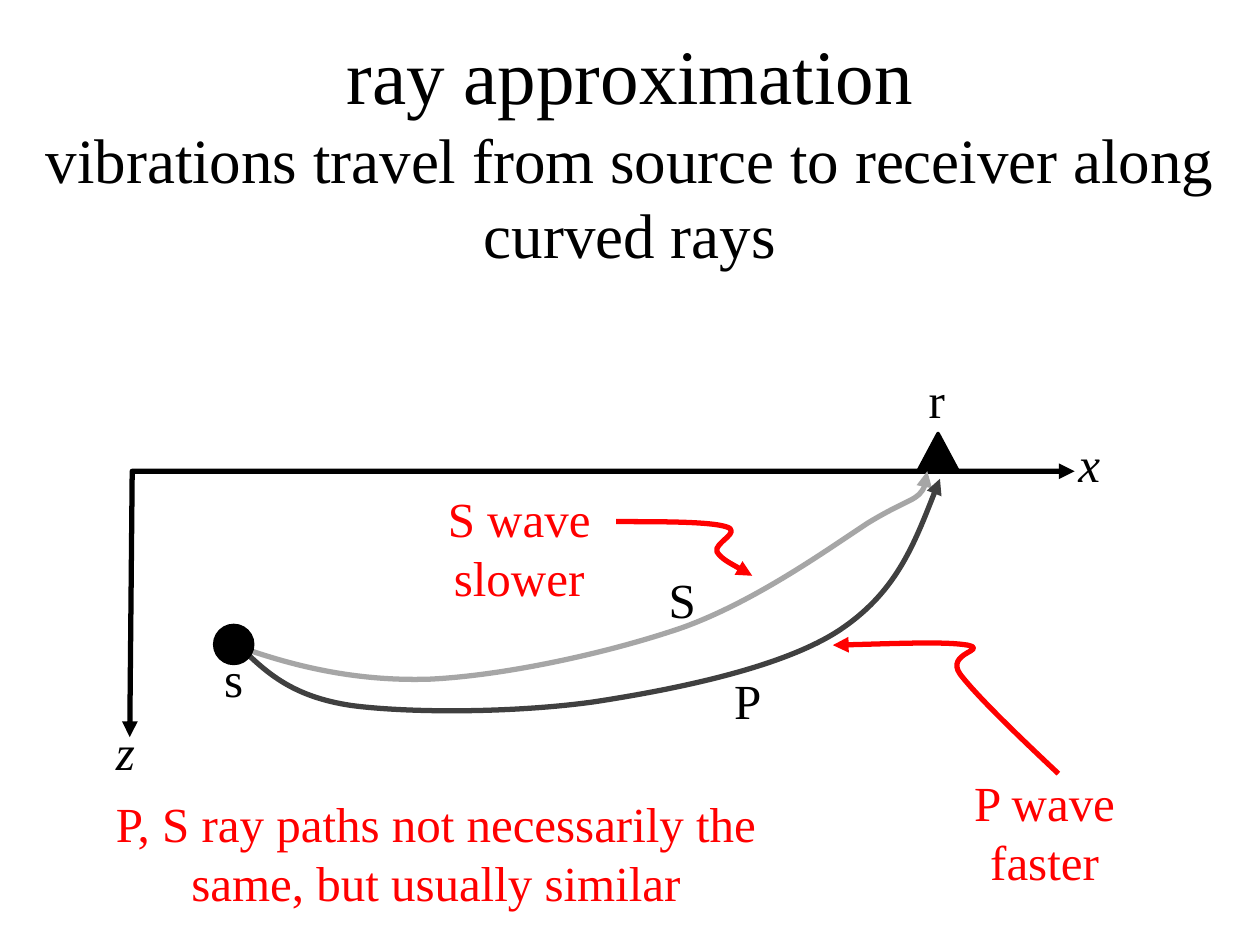
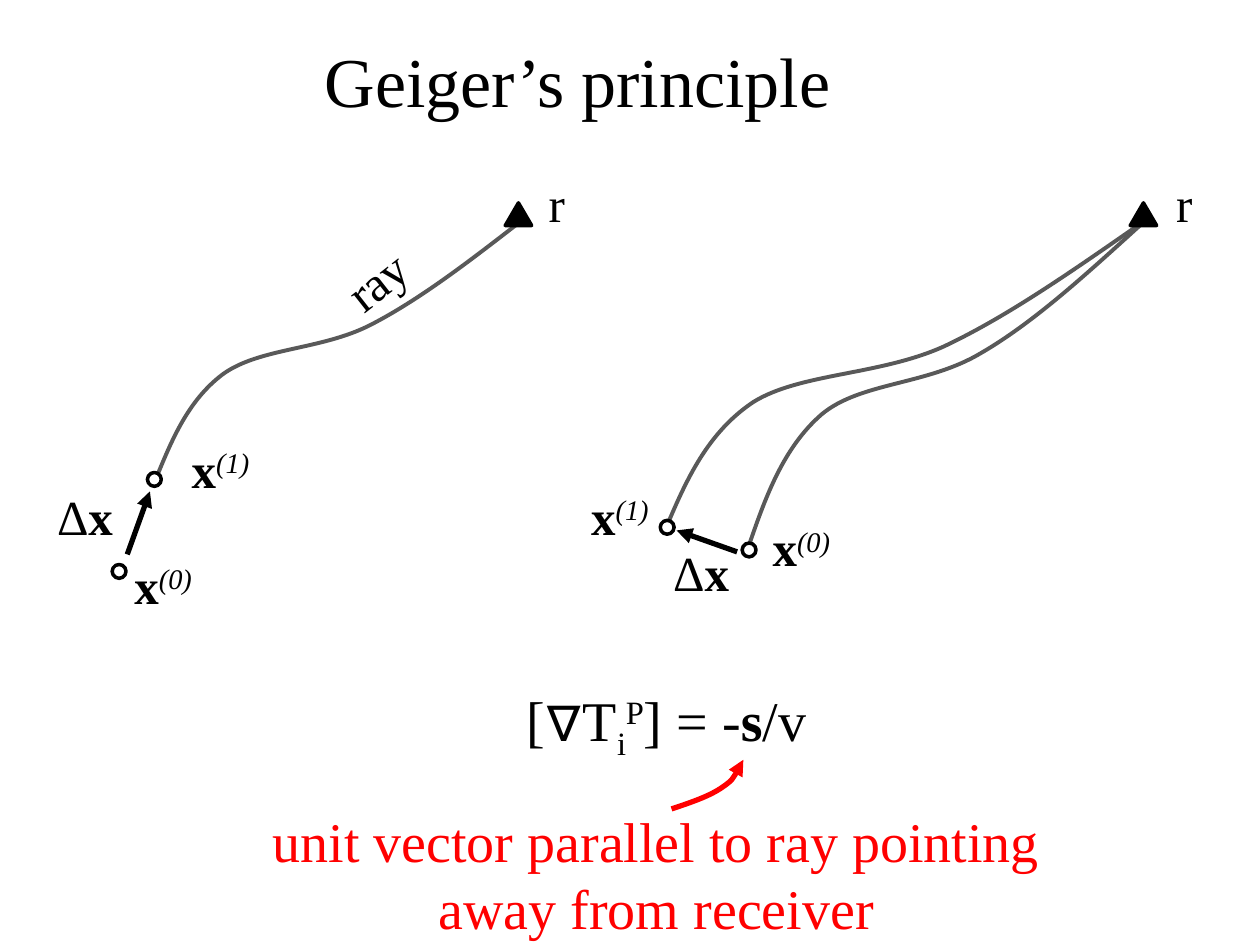
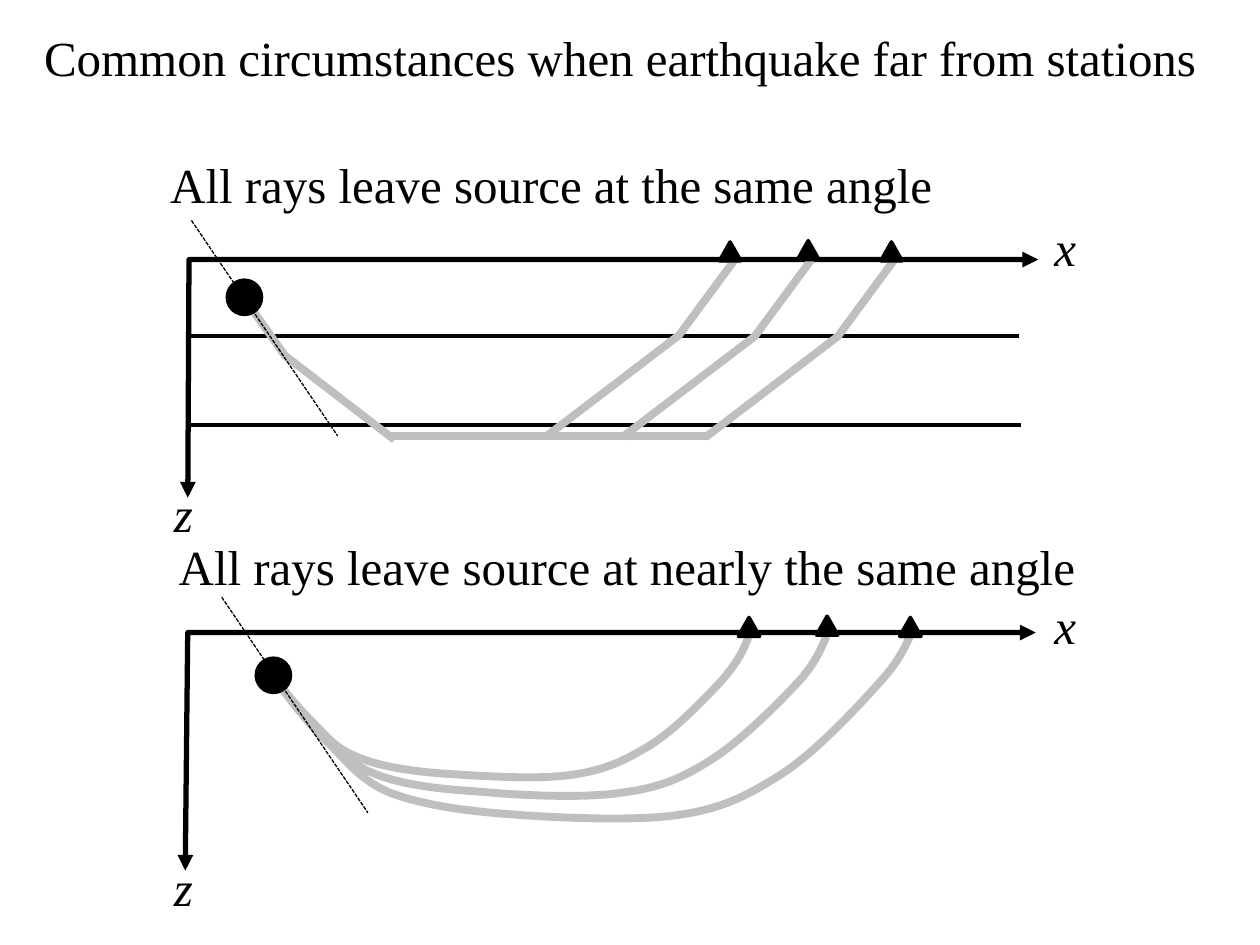
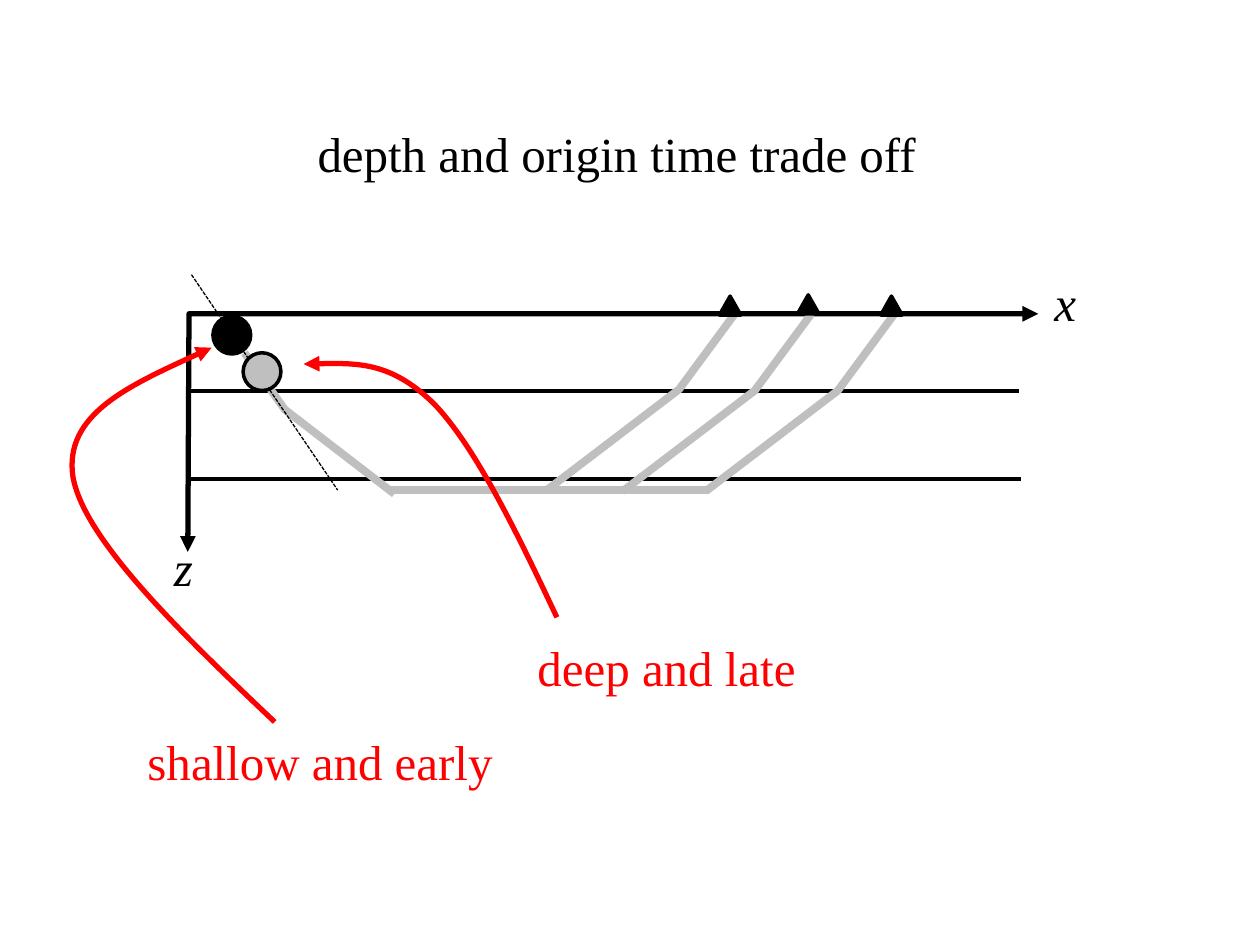
from dataclasses import dataclass
from typing import NamedTuple, Optional

from lxml import etree
from pptx import Presentation
from pptx import util as u
from pptx.dml.color import RGBColor
from pptx.enum import dml, shapes, text
from pptx.oxml import ns

PX = 9144  # EMU in one px, at 100 px to the inch
FONT = "Times New Roman"
BLACK, WHITE, RED = "000000", "FFFFFF", "FF0000"
SILVER, GREY, SLATE, CHARCOAL = "BFBFBF", "A6A6A6", "595959", "404040"
CENTER, LEFT = text.PP_ALIGN.CENTER, text.PP_ALIGN.LEFT
TOP, MIDDLE = text.MSO_ANCHOR.TOP, text.MSO_ANCHOR.MIDDLE
TRIANGLE = shapes.MSO_SHAPE.ISOSCELES_TRIANGLE
CIRCLE = shapes.MSO_SHAPE.OVAL
LINE_HEIGHT = 57
TITLE_ONLY = 5

Point = tuple[int, int]


class Span(NamedTuple):
    text: str
    bold: bool = False
    italic: bool = False
    baseline: int = 0  # percent: above zero raises, below zero lowers


class Para(NamedTuple):
    spans: tuple[Span, ...]
    size: int = 28
    color: str = BLACK
    align: text.PP_ALIGN = CENTER


@dataclass(frozen=True)
class Stroke:
    color: str
    width: float
    ends: tuple[str, ...] = ()
    dash: Optional[dml.MSO_LINE] = None


ARROW = ("tailEnd",)
AXIS = Stroke(BLACK, 3, ("headEnd", "tailEnd"))
STEP = Stroke(BLACK, 3, ARROW)
POINTER = Stroke(RED, 3, ARROW)
BOUNDARY = Stroke(BLACK, 2.25)
RAY = Stroke(SILVER, 4.5)
THIN_RAY = Stroke(SLATE, 2.25)
TAKEOFF = Stroke(BLACK, 0.75, dash=dml.MSO_LINE.SQUARE_DOT)
OUTLINE = Stroke(BLACK, 2)


def emu(*lengths: int) -> list[u.Emu]:
    return [u.Emu(length * PX) for length in lengths]


def rgb(color: str) -> RGBColor:
    return RGBColor.from_string(color)


def plain(words: str, size: int = 28, color: str = BLACK, align=CENTER) -> Para:
    return Para((Span(words),), size, color, align)


def variable(name: str) -> Para:
    return Para((Span(name, italic=True),))


def iterate(step: int) -> Para:
    """The position vector x with its iteration number raised."""
    return Para((Span("x", bold=True), Span(f"({step})", italic=True, baseline=30)))


def apply_stroke(line, stroke: Stroke) -> None:
    line.color.rgb = rgb(stroke.color)
    line.width = u.Pt(stroke.width)
    if stroke.dash is not None:
        line.dash_style = stroke.dash
    for end in stroke.ends:
        etree.SubElement(line._get_or_add_ln(), ns.qn(f"a:{end}"), type="triangle")


def write(shape, paras: tuple[Para, ...], anchor=TOP) -> None:
    frame = shape.text_frame
    frame.word_wrap = True
    frame.vertical_anchor = anchor
    frame.auto_size = (text.MSO_AUTO_SIZE.SHAPE_TO_FIT_TEXT if anchor == TOP
                       else text.MSO_AUTO_SIZE.NONE)
    for index, para in enumerate(paras):
        paragraph = frame.add_paragraph() if index else frame.paragraphs[0]
        paragraph.alignment = para.align
        font = paragraph.font
        font.name, font.size = FONT, u.Pt(para.size)
        font.color.rgb = rgb(para.color)
        for span in para.spans:
            run = paragraph.add_run()
            run.text = span.text
            if span.bold:
                run.font.bold = True
            if span.italic:
                run.font.italic = True
            if span.baseline:
                run._r.get_or_add_rPr().set("baseline", str(span.baseline * 1000))


def add_label(page, left: int, top: int, width: int, *paras: Para,
              height: int = LINE_HEIGHT, anchor=TOP, rotation: float = 0) -> None:
    box = page.shapes.add_textbox(*emu(left, top, width, height))
    box.rotation = rotation
    write(box, paras, anchor)


def add_page(deck, left: int, top: int, width: int, *paras: Para,
             height: int = LINE_HEIGHT):
    """Add a slide and set its title in the given place."""
    page = deck.slides.add_slide(deck.slide_layouts[TITLE_ONLY])
    title = page.shapes.title
    title.left, title.top, title.width, title.height = emu(left, top, width, height)
    write(title, paras)
    return page


def add_line(page, start: Point, end: Point, stroke: Stroke) -> None:
    line = page.shapes.add_connector(shapes.MSO_CONNECTOR.STRAIGHT, *emu(*start, *end))
    apply_stroke(line.line, stroke)
    etree.SubElement(line._element.spPr, ns.qn("a:effectLst"))


def add_path(page, points: list[Point], stroke: Stroke):
    builder = page.shapes.build_freeform(*points[0], scale=PX)
    builder.add_line_segments(points[1:], close=False)
    path = builder.convert_to_shape()
    path.shadow.inherit = False
    path.fill.background()
    apply_stroke(path.line, stroke)
    return path


def add_curve(page, points: list[Point], stroke: Stroke) -> None:
    """Join a start point and triples of Bezier points into one curve."""
    curve = add_path(page, points, stroke)
    segments = list(curve._element.iter(ns.qn("a:lnTo")))
    for first in range(0, len(segments), 3):
        bezier = etree.Element(ns.qn("a:cubicBezTo"))
        segments[first].addprevious(bezier)
        for segment in segments[first:first + 3]:
            bezier.append(segment[0])
            segment.getparent().remove(segment)


def add_mark(page, kind, left: int, top: int, width: int, height: int,
             fill: str = BLACK, outline: Optional[Stroke] = OUTLINE) -> None:
    mark = page.shapes.add_shape(kind, *emu(left, top, width, height))
    mark.shadow.inherit = False
    mark.fill.solid()
    mark.fill.fore_color.rgb = rgb(fill)
    if outline:
        apply_stroke(mark.line, outline)
    else:
        mark.line.fill.background()


def add_stations(page, left: int, top: int) -> None:
    for across, down in ((0, 1), (62, 0), (128, 1)):
        add_mark(page, TRIANGLE, left + across, top + down, 17, 15)


def add_takeoff(page, left: int, top: int) -> None:
    """Dashed line along which the rays leave the source."""
    add_line(page, (left, top), (left + 116, top + 171), TAKEOFF)


def add_layers(page, top: int) -> None:
    """Layered earth, its surface at top, with head waves to three stations."""
    add_path(page, [(149, top + 189), (150, top), (824, top)], AXIS)
    for left, depth in ((150, 131), (149, 61)):
        add_line(page, (left, top + depth), (left + 660, top + depth), BOUNDARY)
    add_path(page, [(313, top + 143), (226, top + 76), (194, top + 31)], RAY)
    add_line(page, (308, top + 140), (563, top + 140), RAY)
    for left, depth in ((560, 141), (494, 141), (434, 140)):
        foot = top + depth
        add_path(page, [(left, foot), (left + 105, foot - 80), (left + 150, foot - 141)], RAY)
    add_stations(page, 571, top - 15)
    add_takeoff(page, 152, top - 31)
    add_label(page, 108, top + 173, 75, variable("z"))
    add_label(page, 808, top - 38, 75, variable("x"))


def build_ray_approximation(deck) -> None:
    page = add_page(
        deck, 0, 17, 1000, plain("ray approximation", 44),
        plain("vibrations travel from source to receiver along curved rays", 36),
        height=205)
    add_path(page, [(103, 585), (105, 374), (853, 374)], AXIS)
    add_mark(page, TRIANGLE, 729, 344, 31, 29)
    add_curve(page, [(186, 512), (233, 529), (283, 541), (342, 539),
                     (402, 536), (484, 518), (542, 498), (600, 477), (657, 436),
                     (689, 415), (722, 395), (735, 398), (736, 374)],
              Stroke(GREY, 3, ARROW))
    add_curve(page, [(192, 515), (212, 534), (232, 553), (279, 560),
                     (325, 566), (408, 566), (472, 557), (537, 547), (620, 530),
                     (665, 501), (711, 471), (728, 426), (746, 380)],
              Stroke(CHARCOAL, 3, ARROW))
    add_mark(page, CIRCLE, 169, 495, 33, 33, outline=None)
    for left, top, para in ((58, 568, variable("z")), (823, 339, variable("x")),
                            (552, 527, plain("P")), (500, 447, plain("S")),
                            (144, 510, plain("s")), (702, 288, plain("r"))):
        add_label(page, left, top, 83, para)
    add_curve(page, [(840, 614), (807, 583), (775, 552), (762, 535), (750, 518),
                     (785, 516), (768, 512), (751, 509), (706, 511), (661, 512)], POINTER)
    add_curve(page, [(489, 414), (526, 414), (563, 414), (576, 418), (590, 422),
                     (566, 431), (569, 438), (573, 444), (585, 450), (597, 457)], POINTER)
    for left, top, wave, speed in ((675, 608, "P", "faster"), (258, 383, "S", "slower")):
        add_label(page, left, top, 308, plain(f"{wave} wave", color=RED),
                  plain(speed, color=RED), height=104)
    add_label(page, 50, 625, 592, plain(
        "P, S ray paths not necessarily the same, but usually similar", color=RED), height=104)


def build_geiger(deck) -> None:
    page = add_page(deck, 225, 25, 467, plain("Geiger’s principle", 40), height=77)
    for ray in (
        [(123, 382), (136, 350), (149, 318), (177, 297), (206, 276),
         (255, 278), (294, 258), (333, 238), (373, 207), (413, 176)],
        [(593, 437), (607, 396), (621, 356), (652, 329), (683, 303),
         (736, 306), (779, 280), (822, 255), (865, 215), (908, 176)],
        [(529, 418), (545, 380), (562, 343), (598, 319), (635, 296),
         (698, 298), (749, 275), (800, 251), (851, 215), (903, 179)],
    ):
        add_curve(page, ray, THIN_RAY)
    add_line(page, (101, 440), (119, 390), STEP)
    add_line(page, (585, 438), (537, 421), STEP)
    for left in (401, 897):
        add_mark(page, TRIANGLE, left, 161, 21, 18)
    for left, top in ((524, 413), (589, 431), (117, 375), (89, 448)):
        add_mark(page, CIRCLE, left, top, 11, 11, WHITE)
    for left, top, width, step in ((78, 436, 103, 0), (115, 344, 120, 1),
                                   (437, 381, 110, 1), (581, 406, 110, 0)):
        add_label(page, left, top, width, iterate(step))
    for left in (382, 880):
        add_label(page, left, 133, 120, plain("r"))
    for left, top in ((16, 381), (505, 426)):
        add_label(page, left, top, 103, Para((Span("Δ"), Span("x", bold=True))))
    add_label(page, 239, 194, 120, plain("ray"), rotation=321.9)
    gradient = Para((Span("[∇T"), Span("i", baseline=-25), Span("P", baseline=30),
                     Span("] = -"), Span("s", bold=True), Span("/v")), 32)
    add_label(page, 183, 508, 692, gradient, height=133, anchor=MIDDLE)
    add_curve(page, [(533, 642), (548, 637), (563, 632), (573, 625),
                     (582, 619), (586, 611), (590, 603)], POINTER)
    add_label(page, 167, 658, 708, plain(
        "unit vector parallel to ray pointing away from receiver", 32, RED),
        height=71, anchor=MIDDLE)


def build_far_earthquake(deck) -> None:
    page = add_page(deck, 25, 17, 975, plain(
        "Common circumstances when earthquake far from stations", align=LEFT))
    add_layers(page, 206)
    add_path(page, [(147, 691), (149, 502), (822, 502)], AXIS)
    for ray in (
        [(212, 531), (228, 552), (243, 573), (260, 589), (276, 605), (286, 619),
         (309, 629), (333, 638), (363, 643), (401, 646), (439, 649), (501, 652),
         (537, 647), (574, 642), (594, 631), (621, 614), (647, 597), (679, 563),
         (696, 544), (714, 525), (719, 512), (725, 499)],
        [(213, 532), (226, 549), (240, 567), (254, 581), (268, 594), (277, 606),
         (297, 614), (317, 622), (344, 626), (377, 628), (409, 631), (462, 634),
         (494, 629), (526, 625), (544, 616), (566, 602), (589, 587), (617, 559),
         (632, 543), (647, 527), (651, 516), (656, 505)],
        [(211, 530), (223, 545), (235, 560), (247, 572), (259, 584), (266, 594),
         (284, 601), (301, 608), (324, 612), (352, 614), (381, 616), (427, 619),
         (454, 615), (482, 611), (497, 603), (517, 591), (537, 578), (560, 554),
         (573, 540), (586, 525), (590, 516), (594, 506)],
    ):
        add_curve(page, ray, RAY)
    add_stations(page, 586, 489)
    add_takeoff(page, 176, 474)
    add_label(page, 108, 676, 75, variable("z"))
    add_label(page, 808, 468, 75, variable("x"))
    add_label(page, 125, 118, 625, plain("All rays leave source at the same angle"))
    add_label(page, 132, 421, 826, plain(
        "All rays leave source at nearly the same angle", align=LEFT))
    for left, top in ((202, 521), (179, 221)):
        add_mark(page, CIRCLE, left, top, 30, 30, outline=None)


def build_trade_off(deck) -> None:
    page = add_page(deck, 242, 93, 500, plain("depth and origin time trade off", align=LEFT))
    add_layers(page, 249)
    add_mark(page, CIRCLE, 169, 251, 30, 30)
    add_mark(page, CIRCLE, 193, 280, 30, 30, SILVER)
    add_curve(page, [(218, 573), (142, 501), (67, 428), (58, 379),
                     (50, 329), (109, 303), (168, 276)], POINTER)
    add_label(page, 58, 576, 392, plain("shallow and early", color=RED))
    add_curve(page, [(442, 490), (410, 422), (377, 354), (344, 320),
                     (310, 287), (276, 288), (241, 289)], POINTER)
    add_label(page, 333, 501, 392, plain("deep and late", color=RED))


def main() -> None:
    deck = Presentation()
    deck.slide_width, deck.slide_height = emu(1000, 750)
    build_ray_approximation(deck)
    build_geiger(deck)
    build_far_earthquake(deck)
    build_trade_off(deck)
    deck.save("out.pptx")


if __name__ == "__main__":
    main()
